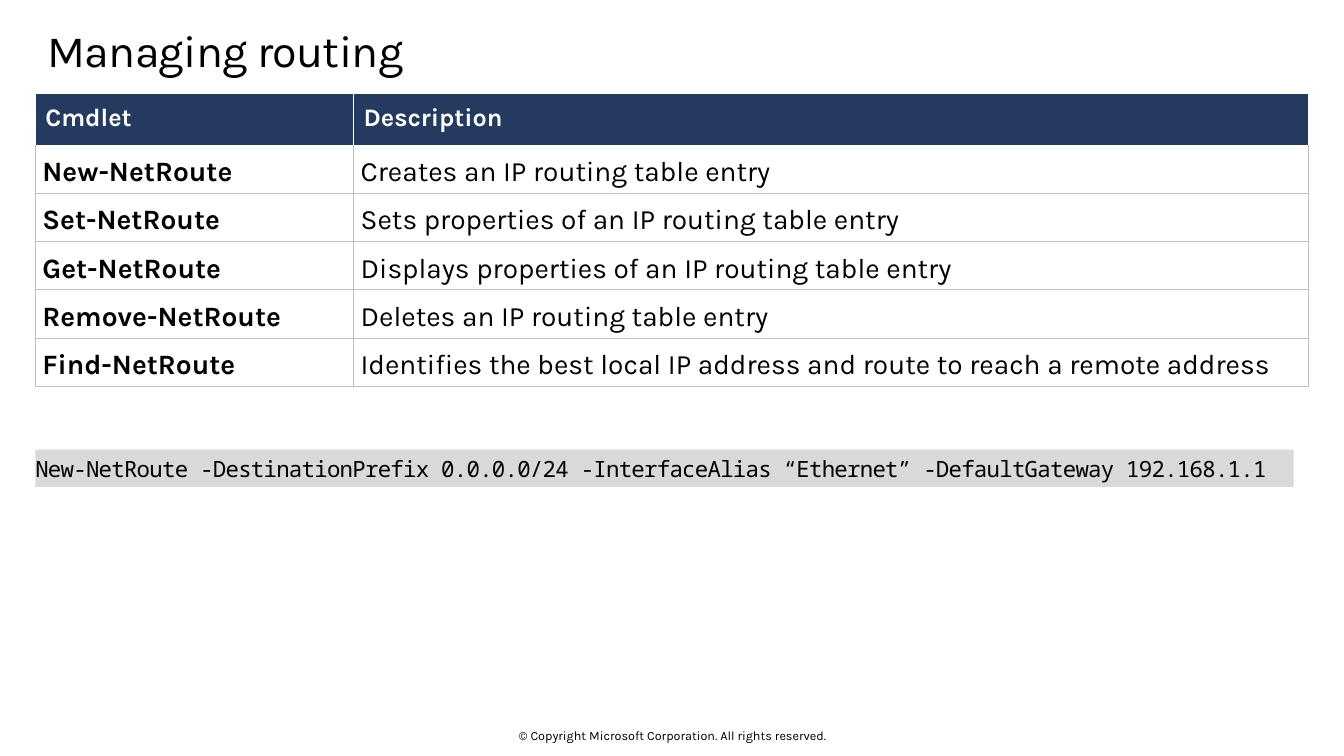
from lxml import etree
from pptx import Presentation
from pptx.dml.color import RGBColor
from pptx.enum.shapes import MSO_SHAPE
from pptx.enum.text import MSO_ANCHOR, MSO_AUTO_SIZE, PP_ALIGN
from pptx.oxml.ns import qn
from pptx.util import Inches, Pt

TOP, MIDDLE = MSO_ANCHOR.TOP, MSO_ANCHOR.MIDDLE
LEFT, CENTER = PP_ALIGN.LEFT, PP_ALIGN.CENTER
NO_AUTOFIT = MSO_AUTO_SIZE.NONE
RECTANGLE = MSO_SHAPE.RECTANGLE
TITLE_ONLY = 5

COLORS = {"text": "000000", "paper": "FFFFFF", "header": "243A5E",
          "grid": "BFBFBF", "code": "D9D9D9"}
SANS, MONO = "Karla", "Noto Sans Mono"
SLIDE_W, SLIDE_H = 13.33, 7.5
MARGIN = 0.35

TITLE_BOX = (0.47, 0.19, 12.4, 0.74)
TABLE_BOX = (MARGIN, 0.93, 12.63, 2.9)
CODE_BOX = (MARGIN, 4.46, 12.48, 0.37)
COPYRIGHT_BOX = (4.42, 7.22, 4.5, 0.15)

CMDLET_SHARE = 0.25
HEADER_HEIGHT = 0.51
HEADINGS = ("Cmdlet", "Description")
CMDLETS = (
    ("New-NetRoute", "Creates an IP routing table entry"),
    ("Set-NetRoute", "Sets properties of an IP routing table entry"),
    ("Get-NetRoute", "Displays properties of an IP routing table entry"),
    ("Remove-NetRoute", "Deletes an IP routing table entry"),
    ("Find-NetRoute", "Identifies the best local IP address and route to reach a remote address"),
)
COMMAND = ("New-NetRoute -DestinationPrefix 0.0.0.0/24 -InterfaceAlias “Ethernet” "
           "-DefaultGateway 192.168.1.1")


def rgb(color):
    """Return the named colour."""
    return RGBColor.from_string(COLORS[color])


def inches(box):
    """Convert a box given in inches to slide lengths."""
    return [Inches(length) for length in box]


def set_margins(holder, insets):
    """Set the left, top, right and bottom margins of a frame or cell."""
    for side, inset in zip(("left", "top", "right", "bottom"), insets):
        setattr(holder, f"margin_{side}", Inches(inset))


def write(frame, text, size, font=SANS, color="text", bold=False, spacing=0, **layout):
    """Write one formatted paragraph into a text frame."""
    paragraph = frame.paragraphs[0]
    run = paragraph.add_run()
    run.text = text
    for name, value in {"name": font, "size": Pt(size), "bold": bold}.items():
        setattr(run.font, name, value)
    run.font.color.rgb = rgb(color)
    if spacing:
        run.font._element.set("spc", str(int(spacing * 100)))
    for name, value in {"alignment": LEFT, **layout}.items():
        setattr(paragraph, name, value)


def set_frame(frame, insets, anchor):
    """Give a text frame its margins, anchor and wrapping."""
    set_margins(frame, insets)
    for name, value in {"word_wrap": True, "auto_size": NO_AUTOFIT,
                        "vertical_anchor": anchor}.items():
        setattr(frame, name, value)


def set_borders(cell, borders):
    """Draw cell borders from a dict of side to colour, None meaning no line."""
    properties = cell._tc.get_or_add_tcPr()
    for side in "LRTB":
        line = etree.SubElement(properties, qn(f"a:ln{side}"), w=str(Pt(0.5)))
        color = borders[side]
        if color is None:
            etree.SubElement(line, qn("a:noFill"))
        else:
            fill = etree.SubElement(line, qn("a:solidFill"))
            etree.SubElement(fill, qn("a:srgbClr"), val=COLORS[color])


def add_title(slide, box):
    """Place the slide title in its box."""
    title = slide.shapes.title
    title.left, title.top, title.width, title.height = inches(box)
    set_frame(title.text_frame, (0, 0.1, 0.16, 0.1), TOP)
    write(title.text_frame, "Managing routing", 32, spacing=-0.5, line_spacing=0.9)


def fill_cell(cell, text, fill, insets, borders, **style):
    """Format one table cell and write its text."""
    set_margins(cell, insets)
    cell.vertical_anchor = TOP
    set_borders(cell, borders)
    cell.fill.solid()
    cell.fill.fore_color.rgb = rgb(fill)
    write(cell.text_frame, text, **style)


def add_cmdlet_table(slide, box):
    """Place the table of routing cmdlets in its box."""
    width, height = box[2:]
    table = slide.shapes.add_table(len(CMDLETS) + 1, len(HEADINGS), *inches(box)).table
    table.first_row = table.horz_banding = False
    for column, share in zip(table.columns, (CMDLET_SHARE, 1 - CMDLET_SHARE)):
        column.width = Inches(width * share)
    for row in table.rows:
        row.height = Inches((height - HEADER_HEIGHT) / len(CMDLETS))
    table.rows[0].height = Inches(HEADER_HEIGHT)

    for column, heading in enumerate(HEADINGS):
        fill_cell(table.cell(0, column), heading, "header", (0.1,) * 4,
                  {"L": "paper", "R": "paper", "T": None, "B": None},
                  size=18, color="paper", bold=True)
    for row, entry in enumerate(CMDLETS, start=1):
        borders = dict.fromkeys("LRTB", "grid")
        if row == 1:
            borders["T"] = None
        for column, text in enumerate(entry):
            fill_cell(table.cell(row, column), text, "paper", (0.07, 0.06, 0.07, 0.04),
                      borders, size=20, bold=column == 0, line_spacing=1.15)


def add_command(slide, box):
    """Place the example command on its grey band."""
    band = slide.shapes.add_shape(RECTANGLE, *inches(box))
    band.shadow.inherit = False
    band.fill.solid()
    band.fill.fore_color.rgb = rgb("code")
    band.line.fill.background()
    set_frame(band.text_frame, (0, 0.05, 0, 0.05), MIDDLE)
    write(band.text_frame, COMMAND, 16, font=MONO, spacing=-0.5)


def add_copyright(slide, box):
    """Place the copyright line at the foot of the slide."""
    frame = slide.shapes.add_textbox(*inches(box)).text_frame
    set_frame(frame, (0,) * 4, MIDDLE)
    write(frame, "© Copyright Microsoft Corporation. All rights reserved.", 9, alignment=CENTER)


def main():
    """Build the slide and save it."""
    presentation = Presentation()
    presentation.slide_width, presentation.slide_height = inches((SLIDE_W, SLIDE_H))
    slide = presentation.slides.add_slide(presentation.slide_layouts[TITLE_ONLY])
    add_copyright(slide, COPYRIGHT_BOX)
    add_title(slide, TITLE_BOX)
    add_cmdlet_table(slide, TABLE_BOX)
    add_command(slide, CODE_BOX)
    presentation.save("out.pptx")


if __name__ == "__main__":
    main()
